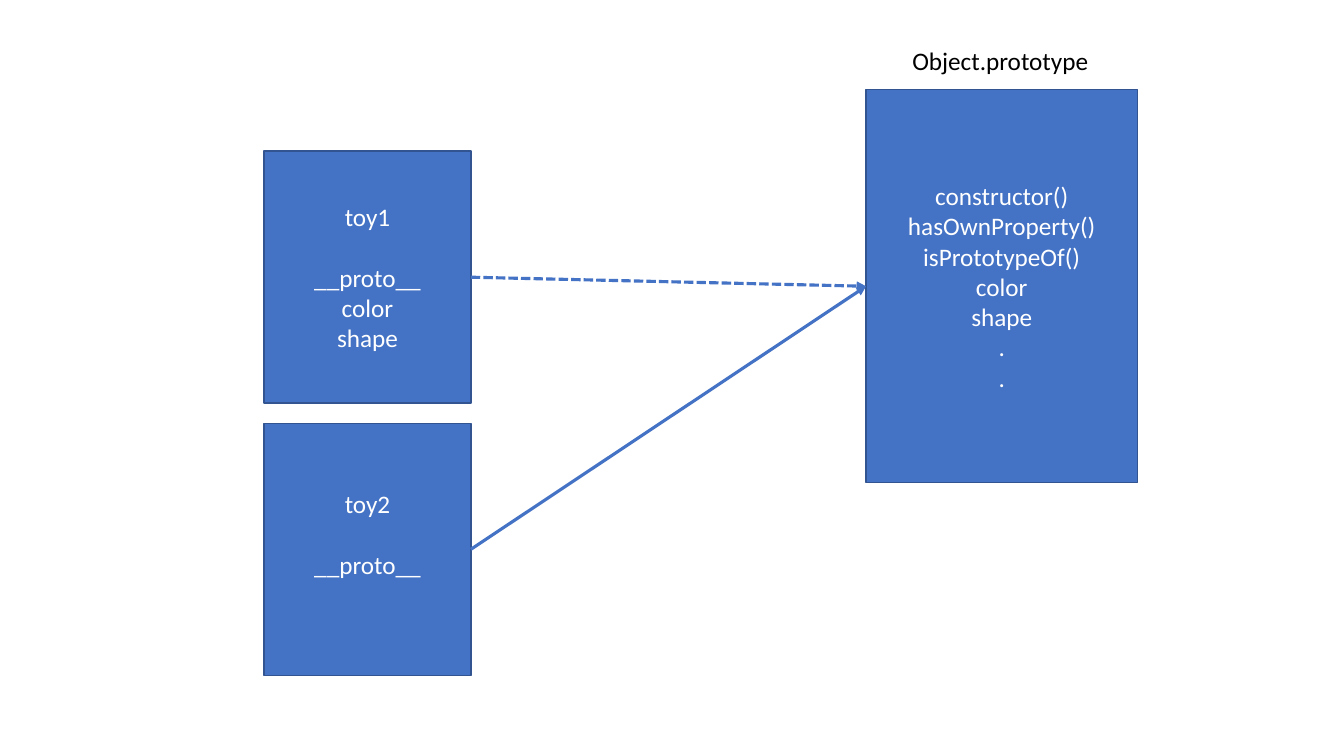
from pptx import Presentation
from pptx import util as u
from pptx.dml.color import RGBColor
from pptx.enum import dml, shapes, text
from pptx.oxml.ns import qn
from lxml import etree

PX = 9144  # EMU per px, 100 px to the inch
FONT = "Calibri"
LINE_PT = 22  # height of one 18 pt line
COLORS = {"fill": "4472C4", "border": "325491", "light": "FFFFFF", "dark": "000000"}
LEFT, RIGHT = 1, 3  # connection sites of a rectangle


def px(*lengths):
    return [u.Emu(n * PX) for n in lengths]


def rgb(name):
    return RGBColor.from_string(COLORS[name])


def write(tf, lines, color="dark", size=18, align=text.PP_ALIGN.LEFT, gap_after_first=0):
    for i, line in enumerate(lines):
        p = tf.paragraphs[0] if i == 0 else tf.add_paragraph()
        p.alignment = align
        p.space_after = u.Pt(0 if i else gap_after_first)
        r = p.add_run()
        r.text = line
        r.font.name = FONT
        r.font.size = u.Pt(size)
        r.font.color.rgb = rgb(color)


def add_box(slide, at, lines, gap_after_first=0, room_below=0):
    sp = slide.shapes.add_shape(shapes.MSO_SHAPE.RECTANGLE, *px(*at))
    sp.shadow.inherit = False
    sp.fill.solid()
    sp.fill.fore_color.rgb = rgb("fill")
    sp.line.color.rgb = rgb("border")
    sp.line.width = u.Pt(1)
    tf = sp.text_frame
    tf.word_wrap = True
    tf.vertical_anchor = text.MSO_ANCHOR.MIDDLE
    tf.margin_bottom = u.Pt(3.6 + room_below)
    write(tf, lines, color="light", align=text.PP_ALIGN.CENTER,
          gap_after_first=gap_after_first)
    return sp


def add_label(slide, at, line):
    tf = slide.shapes.add_textbox(*px(*at)).text_frame
    tf.word_wrap = False
    tf.auto_size = text.MSO_AUTO_SIZE.SHAPE_TO_FIT_TEXT
    write(tf, [line])


def add_arrow(slide, start, end, dash=None):
    sp = slide.shapes.add_connector(shapes.MSO_CONNECTOR.STRAIGHT, 0, 0, 0, 0)
    sp.begin_connect(start, RIGHT)
    sp.end_connect(end, LEFT)
    sp.line.color.rgb = rgb("fill")
    sp.line.width = u.Pt(2.25)
    if dash:
        sp.line.dash_style = dash
    # Arrowhead, and no shadow
    etree.SubElement(sp.line._get_or_add_ln(), qn("a:tailEnd"), type="triangle")
    etree.SubElement(sp._element.spPr, qn("a:effectLst"))


def main():
    prs = Presentation()
    prs.slide_width, prs.slide_height = px(1333, 750)
    slide = prs.slides.add_slide(prs.slide_layouts[6])

    # Shared prototype
    prototype = add_box(slide, (859, 89, 269, 390),
                        ["constructor()", "hasOwnProperty()", "isPrototypeOf()",
                         "color", "shape", ".", "."])
    add_label(slide, (895, 40, 196, 40), "Object.prototype")

    # Toys, each linked to the prototype
    toys = [
        (["toy1", "__proto__", "color", "shape"], 0, dml.MSO_LINE.SQUARE_DOT),
        (["toy2", "__proto__"], LINE_PT, None),
    ]
    for i, (lines, room_below, dash) in enumerate(toys):
        toy = add_box(slide, (262, 150 + 270 * i, 205, 250), lines,
                      gap_after_first=LINE_PT, room_below=room_below)
        add_arrow(slide, toy, prototype, dash)

    prs.save("out.pptx")


if __name__ == "__main__":
    main()
